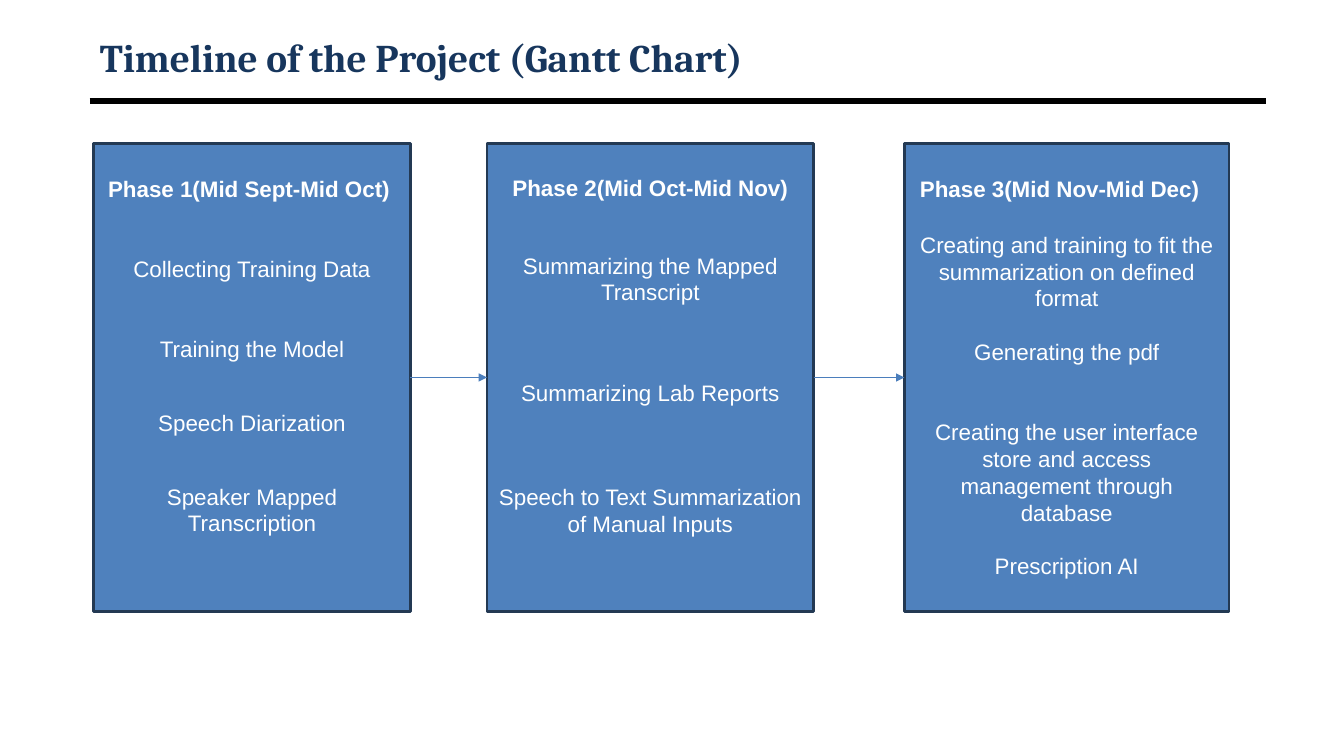
import pptx
import pptx.dml.color
import pptx.enum.shapes
import pptx.enum.text
import pptx.oxml
import pptx.util
from pptx.util import Inches

ANCHOR = pptx.enum.text.MSO_ANCHOR
ALIGN = pptx.enum.text.PP_ALIGN
LINK = pptx.enum.shapes.MSO_CONNECTOR.STRAIGHT
RECT = pptx.enum.shapes.MSO_SHAPE.RECTANGLE
TOP, HEIGHT = 1.42, 4.65

PHASES = [
    (0.93, 3.14, 1.11, [
        ("Collecting Training Data", 0),
        ("Training the Model", 38),
        ("Speech Diarization", 33.5),
        ("Speaker Mapped Transcription", 33.5),
    ]),
    (4.83, 3.24, 0.31, [
        ("Phase 2(Mid Oct-Mid Nov)", 0),
        ("Summarizing the Mapped Transcript", 36),
        ("Summarizing Lab Reports", 53),
        ("Speech to Text Summarization of Manual Inputs", 55),
    ]),
    (8.97, 3.22, 0.87, [
        ("Creating and training to fit the summarization on defined format", 0),
        ("Generating the pdf", 19),
        ("Creating the user interface store and access management through database", 38),
        ("Prescription AI", 19),
    ]),
]
HEADS = [
    (0.88, 3.18, "Phase 1(Mid Sept-Mid Oct)"),
    (8.96, 3.1, "Phase 3(Mid Nov-Mid Dec)"),
]


def tint(code):
    return pptx.dml.color.RGBColor.from_string(code)


def apply(target, **values):
    for name, value in values.items():
        setattr(target, name, value)


def style(font, size, face, code, bold):
    apply(font, size=pptx.util.Pt(size), name=face, bold=bold)
    font.color.rgb = tint(code)


def write(frame, lines):
    frame.word_wrap = True
    for i, (text, gap) in enumerate(lines):
        para = frame.add_paragraph() if i else frame.paragraphs[0]
        apply(para, text=text, alignment=ALIGN.CENTER,
              line_spacing=pptx.util.Pt(19.2), space_before=pptx.util.Pt(gap))
        style(para.font, 16, "Arial", "FFFFFF", text.startswith("Phase"))


def add_title(slide, text):
    title = slide.shapes.title
    apply(title, left=Inches(0.89), top=Inches(0.3),
          width=Inches(11.67), height=Inches(0.53))
    frame = title.text_frame
    apply(frame, text=text, vertical_anchor=ANCHOR.MIDDLE,
          auto_size=pptx.enum.text.MSO_AUTO_SIZE.NONE)
    para = frame.paragraphs[0]
    para.alignment = ALIGN.LEFT
    style(para.font, 28, "Cambria", "17365D", True)


def add_box(slide, left, width, inset, lines):
    box = slide.shapes.add_shape(
        RECT, Inches(left), Inches(TOP), Inches(width), Inches(HEIGHT))
    box.shadow.inherit = False
    box.fill.solid()
    box.fill.fore_color.rgb = tint("4F81BD")
    box.line.color.rgb = tint("233953")
    box.line.width = pptx.util.Pt(2)
    apply(box.text_frame, vertical_anchor=ANCHOR.TOP, margin_top=Inches(inset))
    write(box.text_frame, lines)
    return box


def add_head(slide, left, width, text):
    head = slide.shapes.add_textbox(
        Inches(left), Inches(1.69), Inches(width), Inches(0.37))
    write(head.text_frame, [(text, 0)])


def add_line(slide, start, end, code, width):
    line = slide.shapes.add_connector(LINK, *map(Inches, start + end))
    line.line.color.rgb = tint(code)
    line.line.width = pptx.util.Pt(width)
    props = line._element.spPr
    props.append(props.makeelement(pptx.oxml.ns.qn("a:effectLst"), {}))
    return line


def add_arrow(slide, source, target):
    mid = TOP + HEIGHT / 2
    start = source.left.inches + source.width.inches
    arrow = add_line(slide, (start, mid), (target.left.inches, mid), "4B7EBC", 0.75)
    arrow.begin_connect(source, 3)
    arrow.end_connect(target, 1)
    edge = arrow._element.spPr.find(pptx.oxml.ns.qn("a:ln"))
    edge.append(edge.makeelement(pptx.oxml.ns.qn("a:tailEnd"), {"type": "triangle"}))


def main():
    deck = pptx.Presentation()
    apply(deck, slide_width=Inches(13.33), slide_height=Inches(7.5))
    slide = deck.slides.add_slide(deck.slide_layouts[5])
    add_line(slide, (0.89, 1), (12.56, 1), "000000", 4.5)
    add_title(slide, "Timeline of the Project (Gantt Chart)")
    boxes = [add_box(slide, *phase) for phase in PHASES]
    for source, target in zip(boxes, boxes[1:]):
        add_arrow(slide, source, target)
    for head in HEADS:
        add_head(slide, *head)
    deck.save("out.pptx")


if __name__ == "__main__":
    main()
